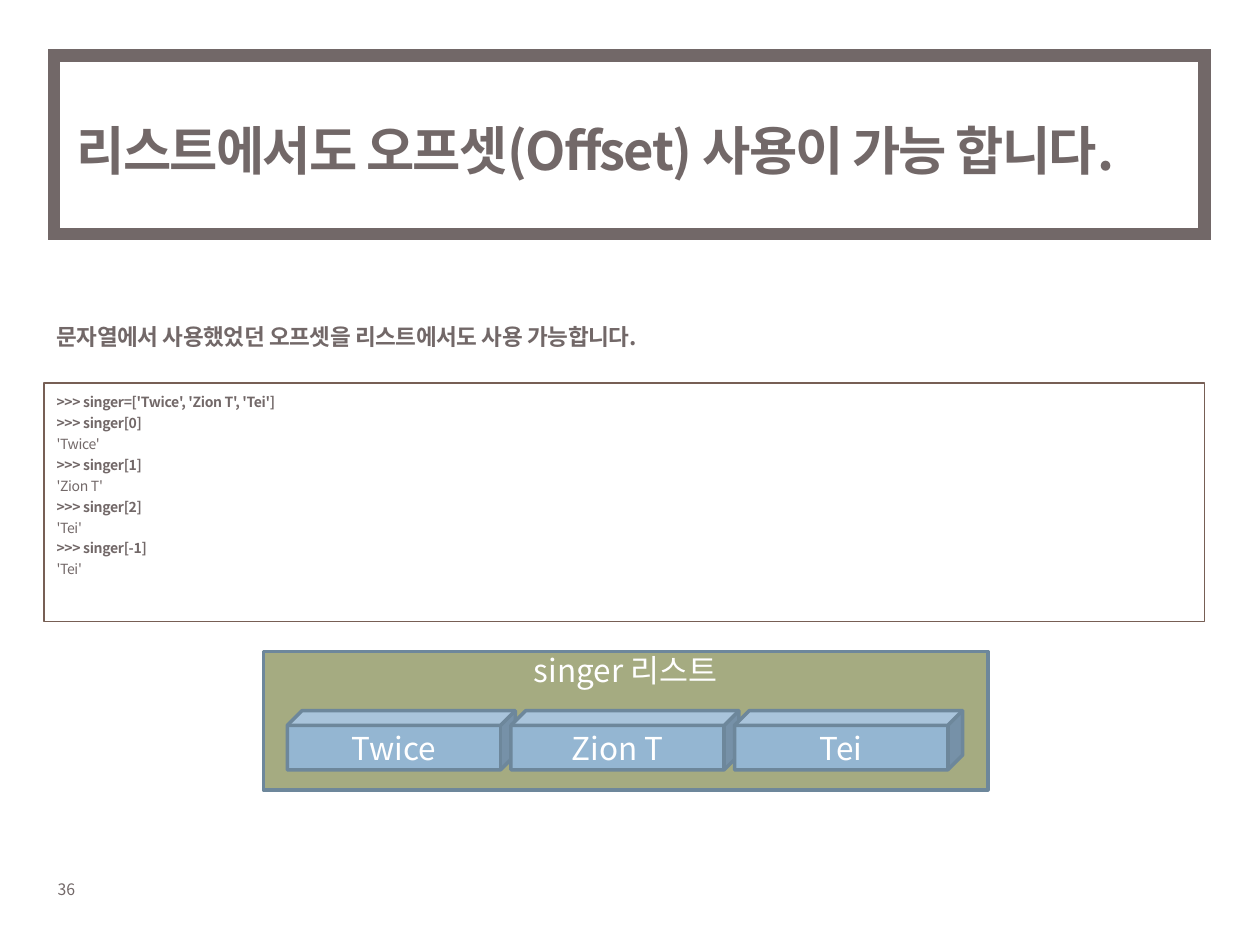
"""Build the slide that explains offsets on Python lists."""
from lxml import etree
from pptx import Presentation
from pptx.dml.color import RGBColor
from pptx.enum.shapes import MSO_SHAPE
from pptx.enum.text import MSO_ANCHOR, MSO_AUTO_SIZE, PP_ALIGN
from pptx.oxml.ns import qn
from pptx.util import Inches, Pt

RECTANGLE, CUBE = MSO_SHAPE.RECTANGLE, MSO_SHAPE.CUBE
TOP, MIDDLE = MSO_ANCHOR.TOP, MSO_ANCHOR.MIDDLE
LEFT, CENTER = PP_ALIGN.LEFT, PP_ALIGN.CENTER
NO_AUTOFIT = MSO_AUTO_SIZE.NONE
TITLE_ONLY = 5

TITLE = "리스트에서도 오프셋(Offset) 사용이 가능 합니다."
INTRODUCTION = "문자열에서 사용했었던 오프셋을 리스트에서도 사용 가능합니다."
CODE_LINES = [
    ">>> singer=['Twice', 'Zion T', 'Tei']",
    ">>> singer[0]",
    "'Twice'",
    ">>> singer[1]",
    "'Zion T'",
    ">>> singer[2]",
    "'Tei'",
    ">>> singer[-1]",
    "'Tei'",
]
LIST_LABEL = "singer 리스트"
SINGERS = ["Twice", "Zion T", "Tei"]
PAGE_NUMBER = "36"

THEME = {
    "font": "Noto Sans CJK KR",
    "ink": RGBColor.from_string("726868"),
    "white": RGBColor.from_string("FFFFFF"),
    "code_line": RGBColor.from_string("775F55"),
    "panel": RGBColor.from_string("A5AB81"),
    "cube": RGBColor.from_string("94B6D2"),
    "cube_line": RGBColor.from_string("6D879B"),
    "title_size": 30,
    "body_size": 12.9,
    "code_size": 8,
    "label_size": 18,
    "page_size": 9,
}

CUBE_LEFT, CUBE_TOP, CUBE_WIDTH, CUBE_HEIGHT = 2.28, 5.64, 1.81, 0.47
CUBE_STEP = 1.775


def inches(*lengths):
    return [Inches(length) for length in lengths]


def write(shape, lines, size, color, bold=lambda line: False, align=LEFT,
          anchor=TOP, spacing=1.0, tracking=0, hanging=0, wrap=True):
    frame = shape.text_frame
    frame_format = {"word_wrap": wrap, "auto_size": NO_AUTOFIT, "vertical_anchor": anchor}
    for name, value in frame_format.items():
        setattr(frame, name, value)
    for index, line in enumerate(lines):
        paragraph = frame.add_paragraph() if index else frame.paragraphs[0]
        paragraph.alignment = align
        paragraph.line_spacing = spacing
        if hanging:
            properties = paragraph._p.get_or_add_pPr()
            properties.set("marL", str(Inches(hanging)))
            properties.set("indent", str(-Inches(hanging)))
        run = paragraph.add_run()
        run.text = line
        font_format = {"name": THEME["font"], "size": Pt(size), "bold": bold(line)}
        for name, value in font_format.items():
            setattr(run.font, name, value)
        run.font.color.rgb = color
        run_properties = run._r.get_or_add_rPr()
        run_properties.set("spc", str(int(tracking * 100)))
        east_asian = etree.SubElement(run_properties, qn("a:ea"))
        east_asian.set("typeface", THEME["font"])


def add_box(shapes, kind, place, line_color, line_width, fill=None):
    shape = shapes.add_shape(kind, *inches(*place))
    shape.shadow.inherit = False
    if fill is None:
        shape.fill.background()
    else:
        shape.fill.solid()
        shape.fill.fore_color.rgb = fill
    shape.line.color.rgb = line_color
    shape.line.width = Pt(line_width)
    return shape


def add_heading(slide):
    title = slide.shapes.title
    places = dict(zip(("left", "top", "width", "height"), inches(0.51, 0.52, 8.9, 1.34)))
    for name, value in places.items():
        setattr(title, name, value)
    write(title, [TITLE], THEME["title_size"], THEME["ink"], bold=lambda line: True,
          anchor=MIDDLE, tracking=-1)
    border = add_box(slide.shapes, RECTANGLE, (0.43, 0.44, 9.13, 1.42), THEME["ink"], 7)
    etree.SubElement(border.line._get_or_add_ln(), qn("a:miter")).set("lim", "800000")


def add_explanation(slide):
    introduction = slide.shapes.add_textbox(*inches(0.35, 2.49, 6.61, 0.39))
    write(introduction, [INTRODUCTION], THEME["body_size"], THEME["ink"],
          bold=lambda line: True, spacing=1.1, tracking=-0.2, hanging=0.25)
    code = add_box(slide.shapes, RECTANGLE, (0.35, 3.04, 9.21, 1.89), THEME["code_line"], 0.75)
    write(code, CODE_LINES, THEME["code_size"], THEME["ink"],
          bold=lambda line: line.startswith(">>>"), spacing=1.25, tracking=-0.2, hanging=0.25)


def add_list_diagram(slide):
    panel = add_box(slide.shapes, RECTANGLE, (2.09, 5.17, 5.75, 1.1),
                    THEME["cube_line"], 2, THEME["panel"])
    panel.text_frame.margin_top = 0
    write(panel, [LIST_LABEL], THEME["label_size"], THEME["white"], align=CENTER)
    group = slide.shapes.add_group_shape()
    for index, singer in enumerate(SINGERS):
        place = (CUBE_LEFT + index * CUBE_STEP, CUBE_TOP, CUBE_WIDTH, CUBE_HEIGHT)
        cube = add_box(group.shapes, CUBE, place, THEME["cube_line"], 2, THEME["cube"])
        write(cube, [singer], THEME["label_size"], THEME["white"], align=CENTER, anchor=MIDDLE)


def main():
    presentation = Presentation()
    presentation.slide_width, presentation.slide_height = inches(10, 7.5)
    slide = presentation.slides.add_slide(presentation.slide_layouts[TITLE_ONLY])
    add_heading(slide)
    add_explanation(slide)
    add_list_diagram(slide)
    page = slide.shapes.add_textbox(*inches(0.36, 6.93, 0.52, 0.25))
    write(page, [PAGE_NUMBER], THEME["page_size"], THEME["ink"])
    presentation.save("out.pptx")


if __name__ == "__main__":
    main()
